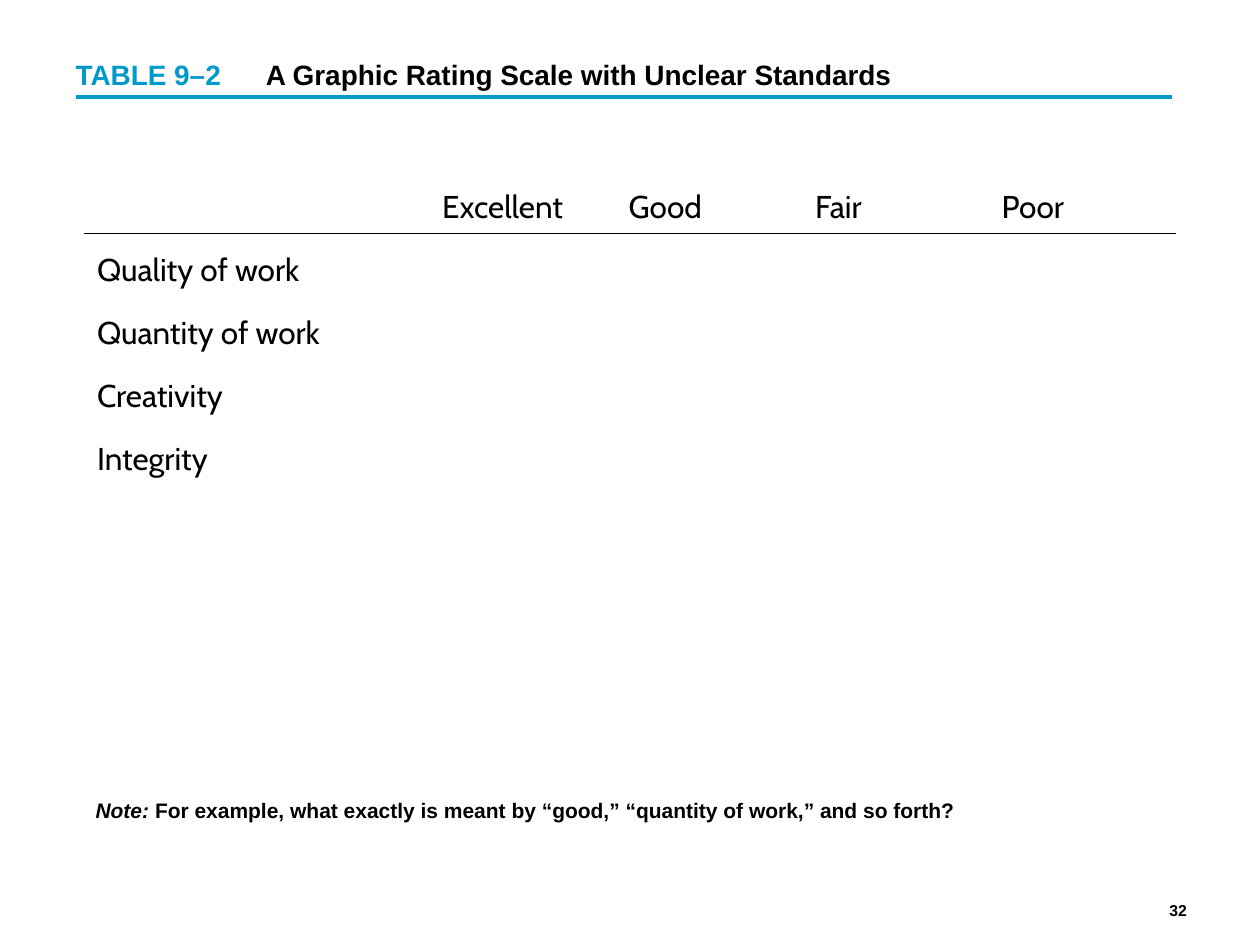
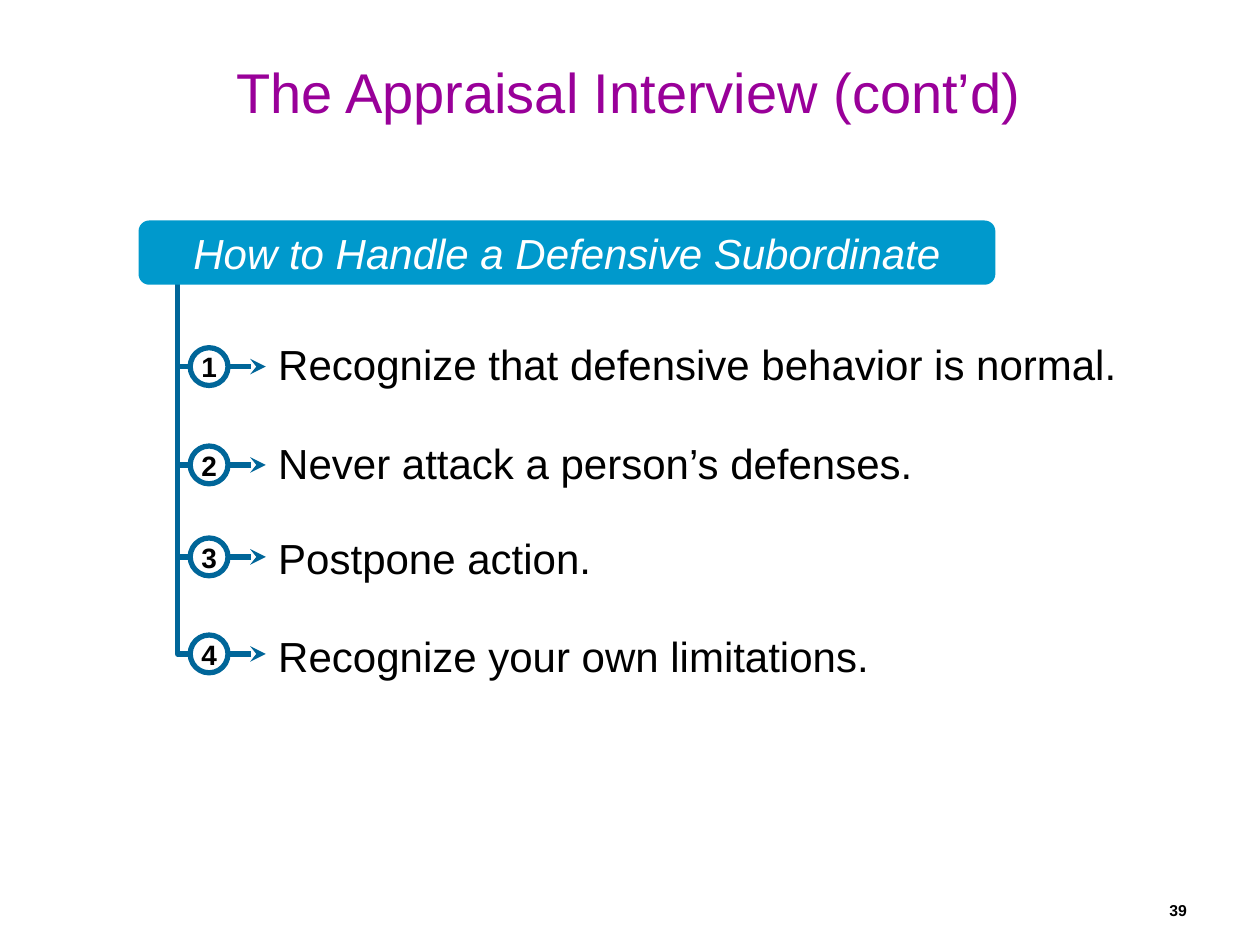
"""Build two slides on performance appraisal: a rating table and a numbered list."""
from dataclasses import dataclass

from lxml import etree
from pptx import Presentation
from pptx.dml.color import RGBColor
from pptx.enum.shapes import MSO_CONNECTOR, MSO_SHAPE
from pptx.enum.text import MSO_ANCHOR, MSO_AUTO_SIZE, PP_ALIGN
from pptx.oxml.ns import qn
from pptx.util import Inches, Pt

LEFT, CENTER, RIGHT = PP_ALIGN.LEFT, PP_ALIGN.CENTER, PP_ALIGN.RIGHT
TOP, MIDDLE, BOTTOM = MSO_ANCHOR.TOP, MSO_ANCHOR.MIDDLE, MSO_ANCHOR.BOTTOM
OVAL, ROUND = MSO_SHAPE.OVAL, MSO_SHAPE.ROUNDED_RECTANGLE
STRAIGHT = MSO_CONNECTOR.STRAIGHT
FIXED = MSO_AUTO_SIZE.NONE


@dataclass(frozen=True)
class Theme:
    font: str = "Arial"
    grid_font: str = "Cabin"
    black: str = "000000"
    white: str = "FFFFFF"
    sky: str = "0099CC"
    navy: str = "006699"
    plum: str = "990099"
    title: int = 32
    body: int = 24
    cell: int = 18
    label: int = 16
    note: int = 12
    page: int = 9


THEME = Theme()


def rgb(code):
    return RGBColor.from_string(code)


def write(frame, text, size=THEME.body, color=THEME.black, font=THEME.font,
          bold=False, italic=False, align=LEFT, anchor=MIDDLE, wrap=True,
          inset=0.1, hang=0):
    frame.word_wrap = wrap
    frame.auto_size = FIXED
    frame.vertical_anchor = anchor
    frame.margin_left = frame.margin_right = Inches(inset)
    frame.margin_top = frame.margin_bottom = Inches(0.05)
    para = frame.paragraphs[0]
    para.alignment = align
    if hang:
        props = para._p.get_or_add_pPr()
        props.set("marL", str(Inches(hang)))
        props.set("indent", str(-Inches(hang)))
    parts = [(text, {})] if isinstance(text, str) else text
    for words, style in parts:
        run = para.add_run()
        run.text = words
        run.font.name = font
        run.font.size = Pt(size)
        run.font.bold = style.get("bold", bold)
        run.font.italic = style.get("italic", italic)
        run.font.color.rgb = rgb(style.get("color", color))


class Deck:
    def __init__(self, theme):
        self.theme = theme
        self.show = Presentation()
        self.show.slide_width, self.show.slide_height = Inches(10), Inches(7.5)
        self.slide = None

    def start(self, title, page, height, **style):
        self.slide = self.show.slides.add_slide(self.show.slide_layouts[5])
        head = self.slide.shapes.title
        head.left, head.top = Inches(0.5), Inches(0.41)
        head.width, head.height = Inches(8.98), Inches(height)
        write(head.text_frame, title, anchor=TOP, **style)
        self.text(str(page), 7, 6.95, 2.42, 0.4, size=self.theme.page,
                  bold=True, align=RIGHT, anchor=BOTTOM, inset=0)

    def text(self, text, x, y, w, h, **style):
        box = self.slide.shapes.add_textbox(*map(Inches, (x, y, w, h)))
        write(box.text_frame, text, **style)

    def shape(self, kind, text, x, y, w, h, fill, line=None, home=None, **style):
        home = home or self.slide.shapes
        item = home.add_shape(kind, *map(Inches, (x, y, w, h)))
        item.shadow.inherit = False
        item.fill.solid()
        item.fill.fore_color.rgb = rgb(fill)
        if line:
            self.stroke(item.line, line, 3)
        else:
            item.line.fill.background()
        write(item.text_frame, text, align=CENTER, **style)

    def stroke(self, line, color, width):
        line.color.rgb = rgb(color)
        line.width = Pt(width)

    def rule(self, x, y, end):
        line = self.slide.shapes.add_connector(
            STRAIGHT, *map(Inches, (x, y, end, y)))
        self.stroke(line.line, self.theme.sky, 2.25)
        etree.SubElement(line._element.spPr, qn("a:effectLst"))

    def elbow(self, home, x, y, w, h):
        left, top, right, low = map(Inches, (x, y, x + w, y + h))
        pen = home.build_freeform(left, top)
        pen.add_line_segments([(left, low), (right, low)], close=False)
        bend = pen.convert_to_shape()
        bend.shadow.inherit = False
        bend.fill.background()
        self.stroke(bend.line, self.theme.navy, 3)
        etree.SubElement(bend.line._get_or_add_ln(), qn("a:tailEnd"),
                         type="stealth")

    def step(self, mark, text, y, top, width):
        home = self.slide.shapes.add_group_shape().shapes
        self.elbow(home, 1.41, y - 1, 0.7, 1)
        self.shape(OVAL, str(mark), 1.51, y - 0.15, 0.3, 0.3, self.theme.white,
                   self.theme.navy, home, size=self.theme.label, bold=True,
                   wrap=False)
        self.text(text, 2.11, top, width, 0.49)

    def edge(self, cell, side):
        line = etree.Element(qn(f"a:{side}"), w=str(Pt(0.45)))
        fill = etree.SubElement(line, qn("a:solidFill"))
        etree.SubElement(fill, qn("a:srgbClr"), val=self.theme.black)
        cell._tc.get_or_add_tcPr().insert(0, line)

    def table(self, rows, x, y, widths, high):
        frame = self.slide.shapes.add_table(
            len(rows), len(widths),
            *map(Inches, (x, y, sum(widths), high * len(rows))))
        grid = frame.table
        grid.first_row = grid.horz_banding = False
        for col, width in zip(grid.columns, widths):
            col.width = Inches(width)
        for r, row in enumerate(rows):
            grid.rows[r].height = Inches(high)
            for c in range(len(widths)):
                cell = grid.cell(r, c)
                cell.fill.background()
                cell.vertical_anchor = BOTTOM
                if r < 2:
                    self.edge(cell, ("lnB", "lnT")[r])
                if c < len(row) and row[c]:
                    self.fill(cell, row[c])

    def fill(self, cell, text):
        run = cell.text_frame.paragraphs[0].add_run()
        run.text = text
        run.font.name = self.theme.grid_font
        run.font.size = Pt(self.theme.cell)
        run.font.bold = False
        run.font.color.rgb = rgb(self.theme.black)


def rating(deck):
    look = deck.theme
    deck.start([("TABLE 9–2\t", {"color": look.sky}),
                ("A Graphic Rating Scale with Unclear Standards", {})],
               32, 0.37, size=look.label, bold=True, hang=1.51)
    deck.rule(0.6, 0.77, 9.3)
    deck.text([("Note: ", {"italic": True}),
               ("For example, what exactly is meant by “good,” "
                "“quantity of work,” and so forth?", {})],
              0.66, 6.28, 7.02, 0.3, size=look.note, bold=True, anchor=TOP,
              wrap=False)
    rows = [["", "Excellent", "Good", "Fair", "Poor"], ["Quality of work"],
            ["Quantity of work"], ["Creativity"], ["Integrity"]]
    deck.table(rows, 0.67, 1.35, [2.74] + [1.48] * 4, 0.5)


def defense(deck):
    look = deck.theme
    deck.start("The Appraisal Interview (cont’d)", 39, 0.64, size=look.title,
               color=look.plum, align=CENTER)
    steps = [("Recognize that defensive behavior is normal.", 2.91, 2.64, 7.19),
             ("Never attack a person’s defenses.", 3.69, 3.43, 5.29),
             ("Postpone action.", 4.42, 4.18, 2.89),
             ("Recognize your own limitations.", 5.19, 4.96, 6.09)]
    for mark, step in enumerate(steps, 1):
        deck.step(mark, *step)
    deck.shape(ROUND, "How to Handle a Defensive Subordinate",
               1.1, 1.75, 6.8, 0.51, look.sky, color=look.white, italic=True)


def main():
    deck = Deck(THEME)
    rating(deck)
    defense(deck)
    deck.show.save("out.pptx")


if __name__ == "__main__":
    main()
